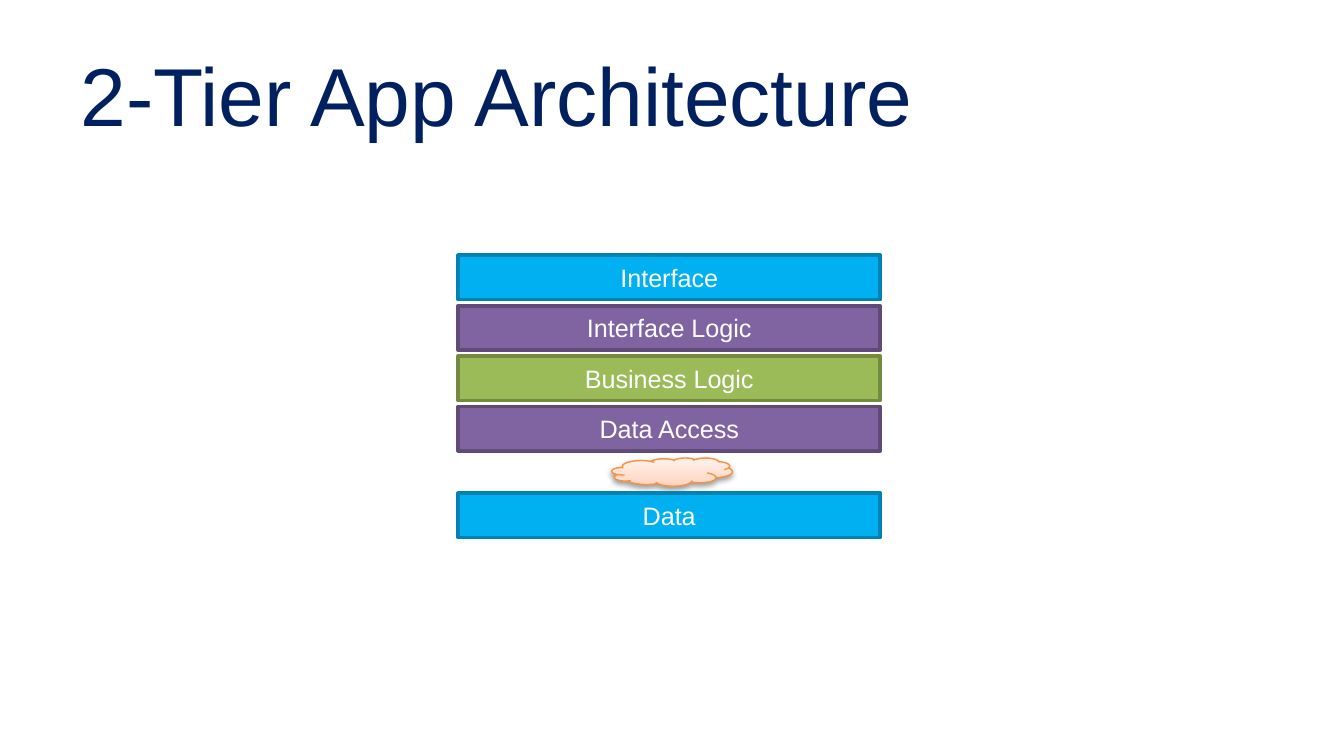
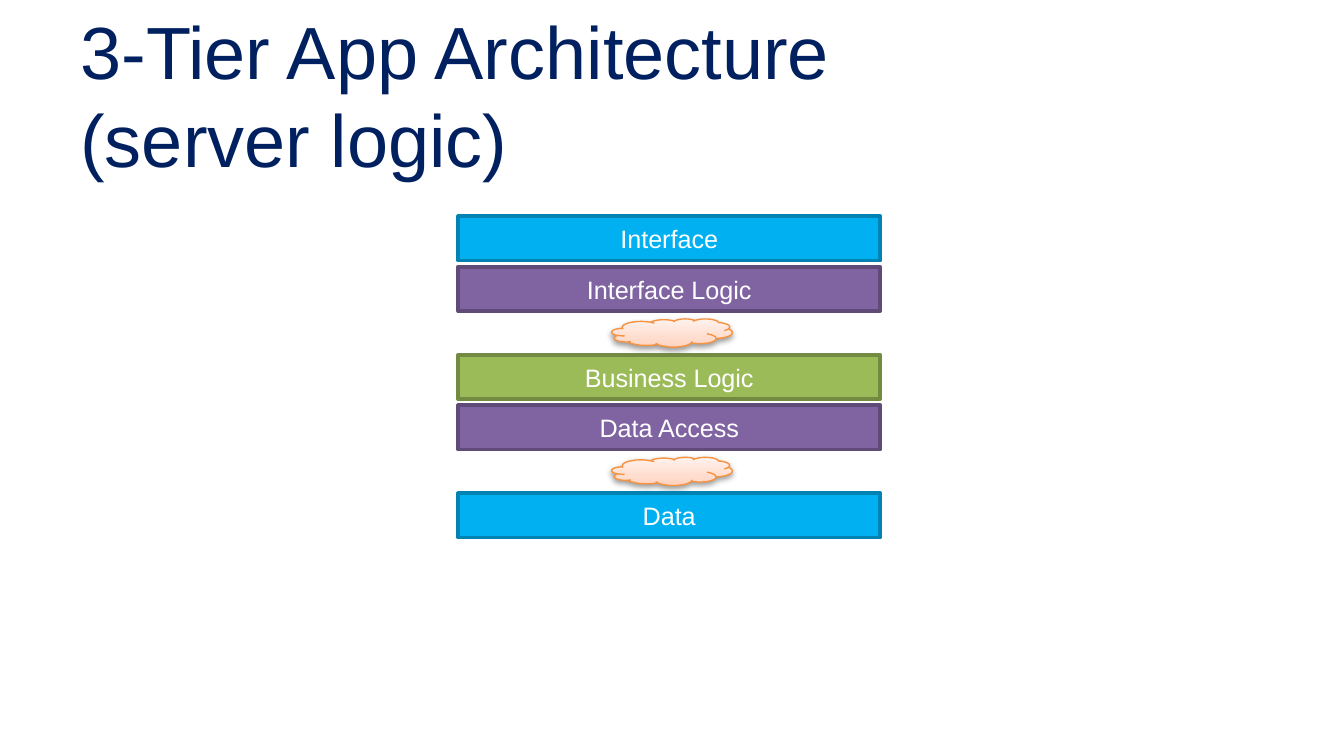
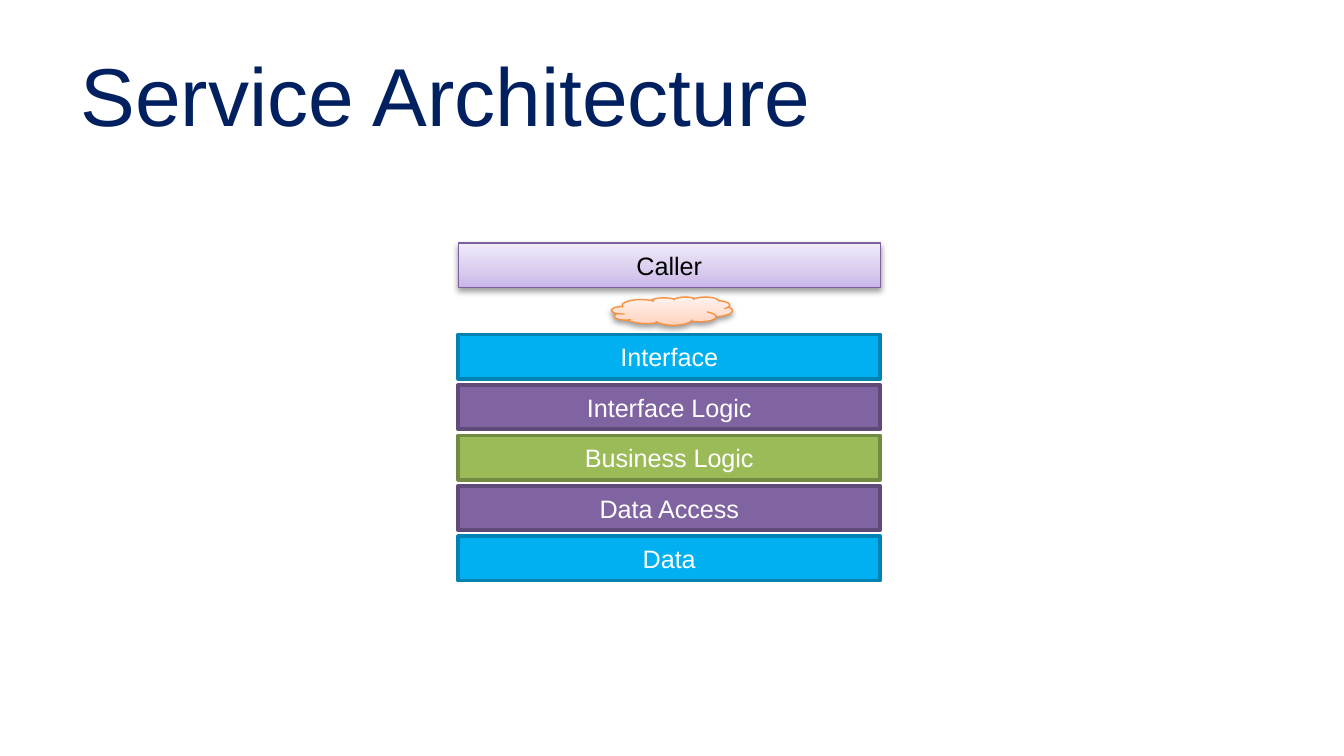
from copy import deepcopy

from lxml import etree
from pptx import Presentation
from pptx.dml.color import RGBColor
from pptx.enum.shapes import MSO_SHAPE
from pptx.enum.text import MSO_ANCHOR, PP_ALIGN
from pptx.oxml import parse_xml
from pptx.oxml.ns import nsdecls, qn
from pptx.util import Inches, Pt

NAVY = RGBColor(0x00, 0x20, 0x60)
WHITE = RGBColor(0xFF, 0xFF, 0xFF)
BLACK = RGBColor(0x00, 0x00, 0x00)
BLUE = RGBColor(0x00, 0xB0, 0xF0)
DARK_BLUE = RGBColor(0x00, 0x82, 0xB2)
PURPLE = RGBColor(0x80, 0x64, 0xA2)
DARK_PURPLE = RGBColor(0x5F, 0x4A, 0x78)
MID_PURPLE = RGBColor(0x7D, 0x60, 0xA0)
GREEN = RGBColor(0x9B, 0xBB, 0x59)
DARK_GREEN = RGBColor(0x73, 0x8A, 0x42)
ORANGE = RGBColor(0xF6, 0x92, 0x40)
LILAC_STOPS = [RGBColor(0xC9, 0xB5, 0xE8), RGBColor(0xD8, 0xCB, 0xEE), RGBColor(0xF0, 0xEA, 0xF9)]
PEACH_STOPS = [RGBColor(0xFF, 0xD2, 0xBD), RGBColor(0xFF, 0xDE, 0xD0), RGBColor(0xFF, 0xF2, 0xED)]
STOP_POSITIONS = [0, 0.35, 1]

FONT = "Arial"
SLIDE_WIDTH = 10
SLIDE_HEIGHT = SLIDE_WIDTH * 9 / 16
LAYER_LEFT, LAYER_WIDTH, LAYER_HEIGHT = 3.41, 3.14, 0.33
LAYER_PITCH = 1.5 / 4
CLOUD_LEFT, CLOUD_WIDTH, CLOUD_HEIGHT = 4.55, 0.9, 0.21

LAYER_COLORS = {
    "Interface": (BLUE, DARK_BLUE),
    "Interface Logic": (PURPLE, DARK_PURPLE),
    "Business Logic": (GREEN, DARK_GREEN),
    "Data Access": (PURPLE, DARK_PURPLE),
    "Data": (BLUE, DARK_BLUE),
}

# Title, title size, and the tiers as (top, layers); a cloud sits between tiers.
SLIDES = [
    ("2-Tier App Architecture", 44, [
        (1.9, ["Interface", "Interface Logic", "Business Logic", "Data Access"]),
        (3.67, ["Data"]),
    ]),
    ("3-Tier App Architecture\v(server logic)", 39.6, [
        (1.61, ["Interface", "Interface Logic"]),
        (2.64, ["Business Logic", "Data Access"]),
        (3.67, ["Data"]),
    ]),
    ("Service Architecture", 44, [
        (1.81, ["Caller"]),
        (2.49, ["Interface", "Interface Logic", "Business Logic", "Data Access", "Data"]),
    ]),
]


def add_box(slide, preset, left, top, width, height, line_color, line_width):
    shape = slide.shapes.add_shape(
        preset, Inches(left), Inches(top), Inches(width), Inches(height))
    shape.shadow.inherit = False
    shape.line.color.rgb = line_color
    shape.line.width = Pt(line_width)
    return shape


def add_glow(shape, colors):
    """Give the shape an upward three-stop gradient and a soft shadow below."""
    shape.fill.gradient()
    shape.fill.gradient_angle = 90
    properties = shape._element.spPr
    stop_list = properties.find(qn("a:gradFill")).find(qn("a:gsLst"))
    stop_list.insert(1, deepcopy(stop_list[0]))
    for stop, position, color in zip(shape.fill.gradient_stops, STOP_POSITIONS, colors):
        stop.position = position
        stop.color.rgb = color
    shadow = parse_xml(
        f'<a:outerShdw {nsdecls("a")} blurRad="{Pt(3.1)}" dist="{Pt(1.6)}" '
        'dir="5400000" rotWithShape="0"><a:srgbClr val="000000"/></a:outerShdw>')
    etree.SubElement(shadow[0], qn("a:alpha"), val="38000")
    properties.find(qn("a:effectLst")).append(shadow)


presentation = Presentation()
presentation.slide_width = Inches(SLIDE_WIDTH)
presentation.slide_height = Inches(SLIDE_HEIGHT)

for title, title_size, tiers in SLIDES:
    slide = presentation.slides.add_slide(presentation.slide_layouts[6])

    title_box = slide.shapes.add_textbox(Inches(0.5), Inches(0.23), Inches(9), Inches(0.94))
    frame = title_box.text_frame
    frame.word_wrap = True
    frame.vertical_anchor = MSO_ANCHOR.MIDDLE
    frame.text = title
    paragraph = frame.paragraphs[0]
    paragraph.font.name = FONT
    paragraph.font.size = Pt(title_size)
    paragraph.font.color.rgb = NAVY

    tier_bottom = None
    for tier_top, layers in tiers:
        if tier_bottom is not None:
            cloud_top = (tier_bottom + tier_top - CLOUD_HEIGHT) / 2
            cloud = add_box(slide, MSO_SHAPE.CLOUD, CLOUD_LEFT, cloud_top,
                            CLOUD_WIDTH, CLOUD_HEIGHT, ORANGE, 0.75)
            add_glow(cloud, PEACH_STOPS)

        for index, name in enumerate(layers):
            is_caller = name == "Caller"
            top = tier_top + index * LAYER_PITCH
            fill_color, line_color = LAYER_COLORS.get(name, (None, MID_PURPLE))
            layer = add_box(slide, MSO_SHAPE.RECTANGLE, LAYER_LEFT, top, LAYER_WIDTH,
                            LAYER_HEIGHT, line_color, 0.75 if is_caller else 2)
            if is_caller:
                add_glow(layer, LILAC_STOPS)
            else:
                layer.fill.solid()
                layer.fill.fore_color.rgb = fill_color

            frame = layer.text_frame
            frame.word_wrap = False
            frame.vertical_anchor = MSO_ANCHOR.MIDDLE
            frame.margin_left = frame.margin_right = Inches(0.06)
            frame.margin_top = frame.margin_bottom = Inches(0.03)
            frame.text = name
            paragraph = frame.paragraphs[0]
            paragraph.alignment = PP_ALIGN.CENTER
            paragraph.font.name = FONT
            paragraph.font.size = Pt(13.5)
            paragraph.font.color.rgb = BLACK if is_caller else WHITE
            tier_bottom = top + LAYER_HEIGHT

presentation.save("out.pptx")
